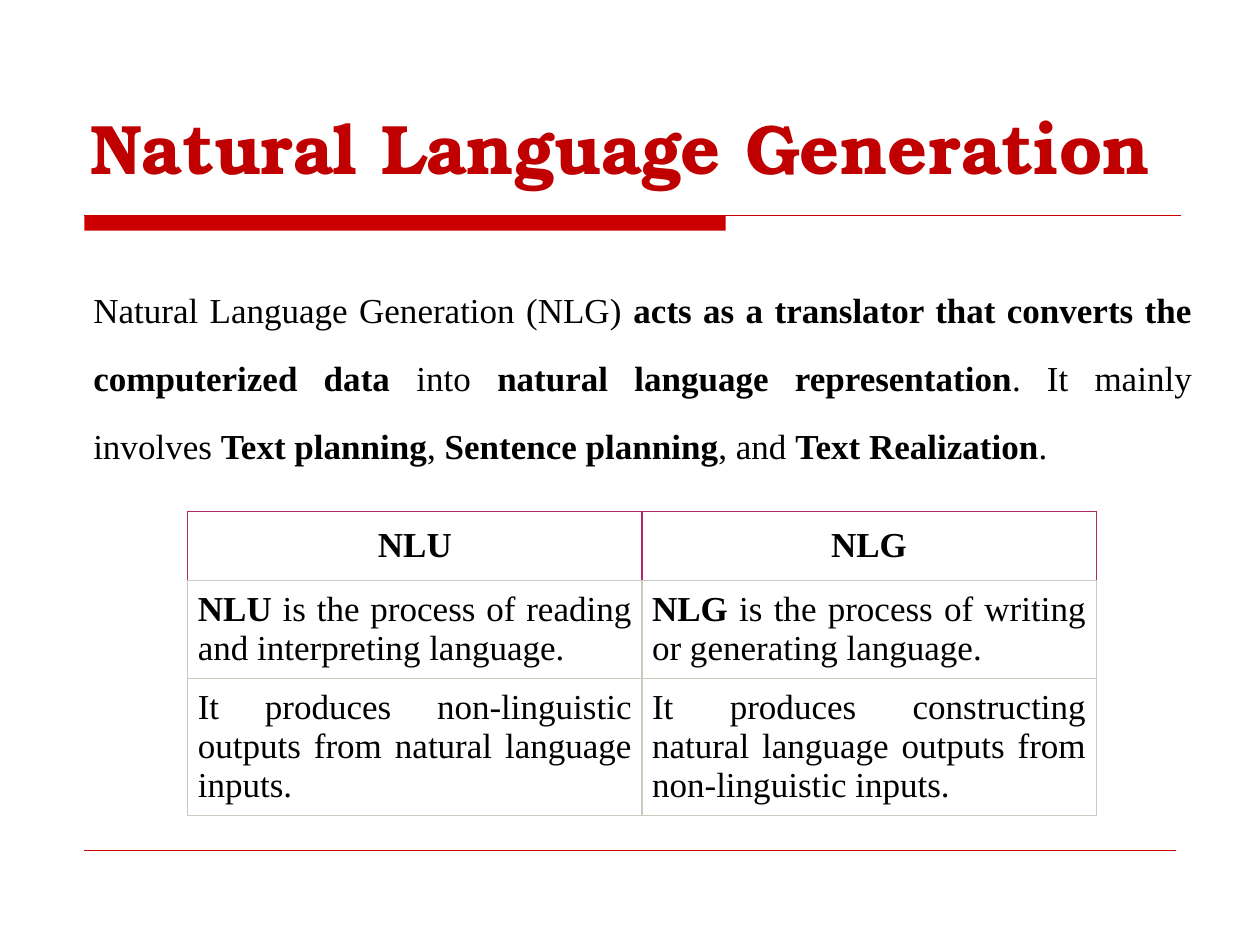
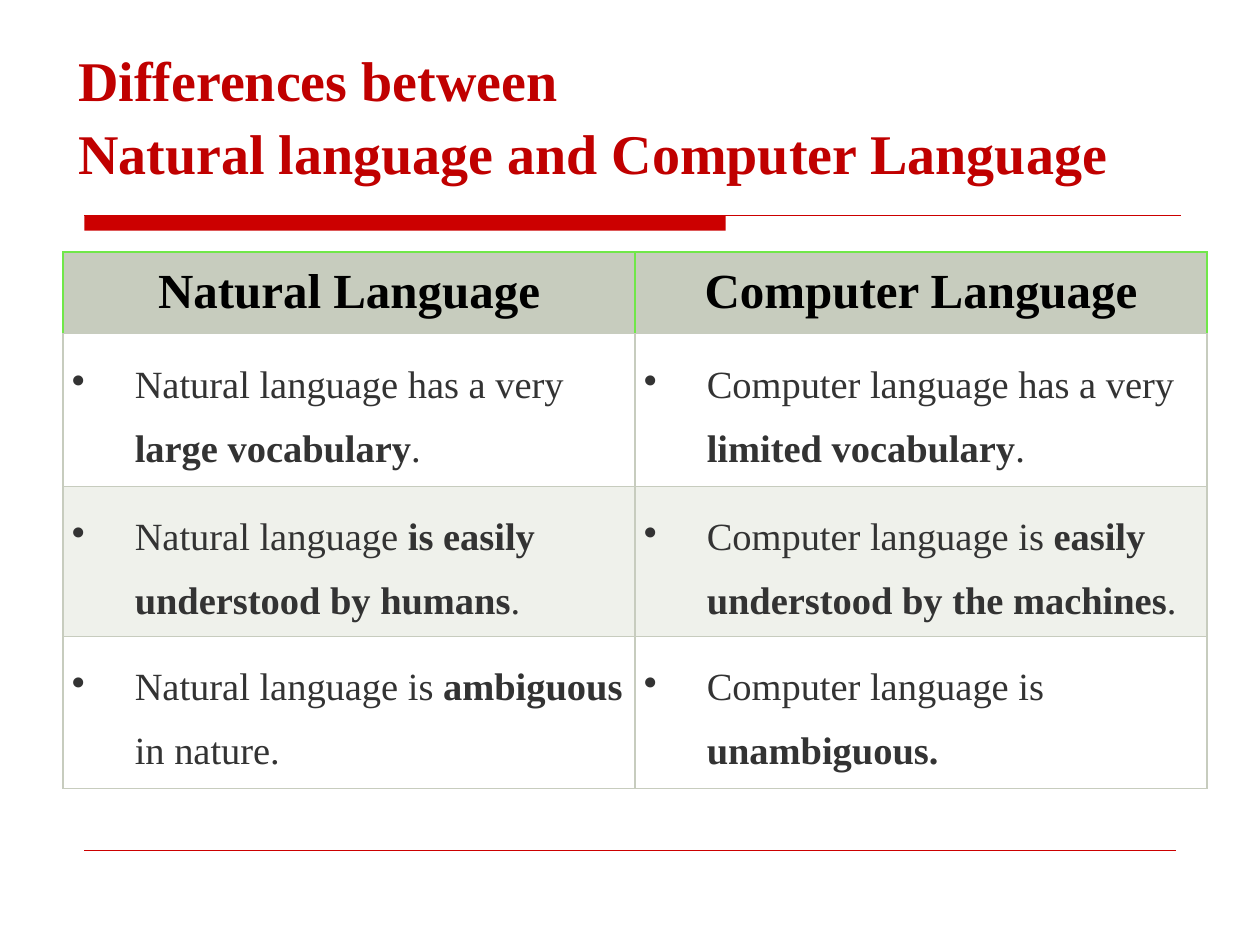
import dataclasses

import pptx
import pptx.dml.color
import pptx.enum.shapes
import pptx.enum.text
import pptx.oxml
import pptx.oxml.ns
import pptx.util
import lxml.etree

RGB = pptx.dml.color.RGBColor.from_string
ALIGN = pptx.enum.text.PP_ALIGN
ANCHOR = pptx.enum.text.MSO_ANCHOR
qn = pptx.oxml.ns.qn


@dataclasses.dataclass(frozen=True)
class Theme:
    serif: str = "Times New Roman"
    display: str = "TeX Gyre Bonum"
    rule: str = "CC0000"
    title: str = "C00000"
    black: str = "000000"
    dark: str = "333333"
    white: str = "FFFFFF"
    sage: str = "C7CCBE"
    pale: str = "EFF1EB"
    magenta: str = "B02768"
    green: str = "70E749"
    display_size: int = 40
    title_size: int = 32
    heading_size: int = 28
    point_size: int = 22
    text_size: int = 20


theme = Theme()


def grid(*steps):
    """Turn steps of a grid of 100 columns by 75 rows into lengths."""
    return [pptx.util.Inches(step / 10) for step in steps]


def write(paragraph, text, size, colour, align, font=theme.serif, spacing=1.0):
    """Fill a paragraph; parts between ** marks are bold."""
    paragraph.font.name = font
    paragraph.font.size = pptx.util.Pt(size)
    paragraph.font.color.rgb = RGB(colour)
    paragraph.alignment = align
    paragraph.line_spacing = spacing
    paragraph.space_before = pptx.util.Pt(0)
    for number, part in enumerate(text.split("**")):
        if part:
            run = paragraph.add_run()
            run.text = part
            run.font.bold = number % 2 == 1


deck = pptx.Presentation()
deck.slide_width, deck.slide_height = grid(100, 75)
generation = deck.slides.add_slide(deck.slide_layouts[1])
differences = deck.slides.add_slide(deck.slide_layouts[5])

# Shared red bar and rules, moved into the slide master
bar = generation.shapes.add_shape(
    pptx.enum.shapes.MSO_SHAPE.RECTANGLE, *grid(6.7, 17.1, 50.9, 1.2))
bar.shadow.inherit = False
bar.fill.solid()
bar.fill.fore_color.rgb = RGB(theme.rule)
bar.line.fill.background()
decorations = [bar]
for right, row in ((93.7, 17.1), (93.3, 67.5)):
    rule = generation.shapes.add_connector(
        pptx.enum.shapes.MSO_CONNECTOR.STRAIGHT, *grid(6.7, row, right, row))
    rule.line.color.rgb = RGB(theme.rule)
    rule.line.width = pptx.util.Pt(1)
    lxml.etree.SubElement(rule.element.find(qn("p:spPr")), qn("a:effectLst"))
    decorations.append(rule)
master_tree = deck.slide_master.element.find(".//" + qn("p:spTree"))
for number, decoration in enumerate(decorations):
    decoration.element.find(".//" + qn("p:cNvPr")).set("id", str(100 + number))
    master_tree.insert(2 + number, decoration.element)

# Titles and introduction
heading = generation.shapes.title
introduction = generation.placeholders[1]
comparison = differences.shapes.title
for part, place, inset, anchor in (
    (heading, (7.2, 8.3, 87.5, 6.7), (0, 0), ANCHOR.TOP),
    (introduction, (7.4, 20.8, 87.2, 15.1), (0, 0), ANCHOR.TOP),
    (comparison, (5.2, 3.3, 88.2, 11.8), (1, 0.5), ANCHOR.MIDDLE),
):
    part.left, part.top, part.width, part.height = grid(*place)
    frame = part.text_frame
    frame.margin_left, frame.margin_top = grid(*inset)
    frame.margin_right, frame.margin_bottom = grid(*inset)
    frame.vertical_anchor = anchor
    frame.word_wrap = True
    frame.auto_size = pptx.enum.text.MSO_AUTO_SIZE.NONE

write(heading.text_frame.paragraphs[0], "**Natural Language Generation**",
      theme.display_size, theme.title, ALIGN.LEFT, theme.display)

summary = introduction.text_frame.paragraphs[0]
write(summary,
      "Natural Language Generation (NLG) **acts as a translator that converts the "
      "computerized data** into **natural language representation**. It mainly involves "
      "**Text planning**, **Sentence planning**, and **Text Realization**.",
      theme.text_size, theme.black, ALIGN.JUSTIFY, spacing=1.62)
summary_format = summary._p.get_or_add_pPr()
summary_format.set("marL", "0")
summary_format.set("indent", "0")
summary_format.insert_element_before(
    pptx.oxml.parse_xml(f'<a:buNone {pptx.oxml.ns.nsdecls("a")}/>'),
    "a:tabLst", "a:defRPr", "a:extLst")

comparison.fill.solid()
comparison.fill.fore_color.rgb = RGB(theme.white)
comparison_frame = comparison.text_frame
for paragraph, line in (
    (comparison_frame.paragraphs[0], "**Differences between**"),
    (comparison_frame.add_paragraph(), "**Natural language and Computer Language**"),
):
    write(paragraph, line, theme.title_size, theme.title, ALIGN.JUSTIFY)
    paragraph.space_before = pptx.util.Pt(3.5)

# Wording of the two tables
nlu_nlg = [
    ("**NLU**", "**NLG**"),
    ("**NLU** is the process of reading and interpreting language.",
     "**NLG** is the process of writing or generating language."),
    ("It produces non-linguistic outputs from natural language inputs.",
     "It produces constructing natural language outputs from non-linguistic inputs."),
]
natural_computer = [
    ("**Natural Language**", "**Computer Language**"),
    ("Natural language has a very **large vocabulary**.",
     "Computer language has a very **limited vocabulary**."),
    ("Natural language **is easily understood by humans**.",
     "Computer language is **easily understood by the machines**."),
    ("Natural language is **ambiguous** in nature.",
     "Computer language is **unambiguous.**"),
]

# Tables: place, row heights, row fills, header edge, insets, sizes, bullets
for slide, wording, place, heights, fills, edge, insets, sizes, bulleted in (
    (generation, nlu_nlg, (14.9, 40.6, 72.1), (5.1, 7.2, 10),
     (theme.white,) * 3, theme.magenta, (1.2, 0.8),
     (theme.text_size, theme.text_size), False),
    (differences, natural_computer, (5, 20, 90.8), (6.5, 12.1, 11.9, 12.1),
     (theme.sage, theme.white, theme.pale, theme.white), theme.green, (1, 0.7),
     (theme.heading_size, theme.point_size), True),
):
    table = slide.shapes.add_table(
        len(wording), 2, *grid(*place, sum(heights))).table
    table.first_row = table.horz_banding = False
    for row, texts in enumerate(wording):
        is_header = row == 0
        table.rows[row].height = grid(heights[row])[0]
        for column, text in enumerate(texts):
            cell = table.cell(row, column)
            inset = grid(insets[0] if is_header else insets[1])[0]
            cell.margin_left = cell.margin_right = inset
            cell.margin_top = cell.margin_bottom = inset
            paragraph = cell.text_frame.paragraphs[0]
            if is_header:
                write(paragraph, text, sizes[0], theme.black, ALIGN.CENTER)
            elif bulleted:
                write(paragraph, text, sizes[1], theme.dark, ALIGN.LEFT, spacing=1.5)
                point_format = paragraph._p.get_or_add_pPr()
                hang = pptx.util.Inches(0.5)
                point_format.set("marL", str(hang))
                point_format.set("indent", str(-hang))
                point_format.insert_element_before(
                    pptx.oxml.parse_xml(
                        f'<a:buChar {pptx.oxml.ns.nsdecls("a")} char="•"/>'),
                    "a:tabLst", "a:defRPr", "a:extLst")
            else:
                write(paragraph, text, sizes[1], theme.black, ALIGN.JUSTIFY)

            # Cell borders come before the fill
            cell_format = cell._tc.get_or_add_tcPr()
            for side in ("lnL", "lnR", "lnT", "lnB"):
                colour = edge if is_header and side != "lnB" else theme.sage
                border = lxml.etree.SubElement(
                    cell_format, qn(f"a:{side}"), w=str(pptx.util.Pt(0.75)))
                paint = lxml.etree.SubElement(border, qn("a:solidFill"))
                lxml.etree.SubElement(paint, qn("a:srgbClr"), val=colour)
            cell.fill.solid()
            cell.fill.fore_color.rgb = RGB(fills[row])

deck.save("out.pptx")
